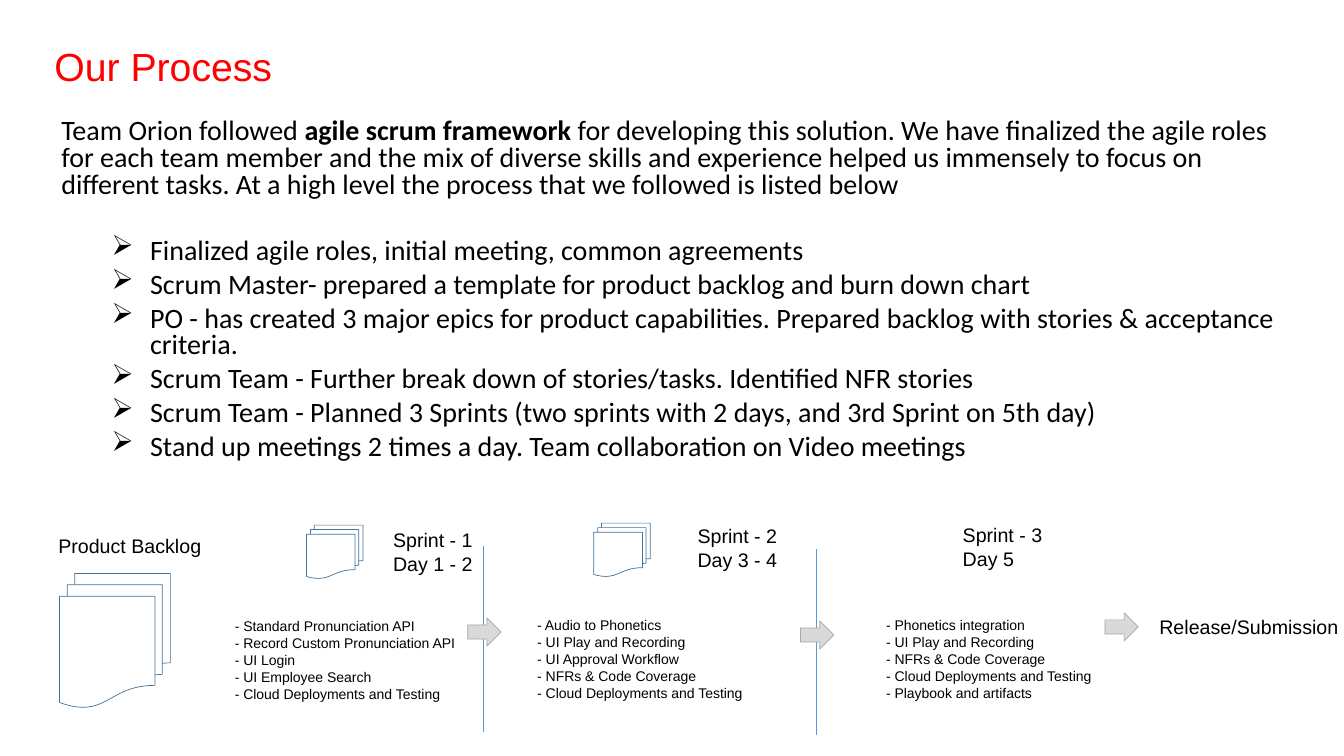
import pptx
import pptx.util
import pptx.dml.color
import pptx.enum.shapes
import pptx.enum.text
import pptx.oxml
import pptx.oxml.ns
import lxml.etree

Inches, Pt = pptx.util.Inches, pptx.util.Pt
Shape = pptx.enum.shapes.MSO_SHAPE


def tint(code):
    return pptx.dml.color.RGBColor.from_string(code)


def write(frame, lines, size, name="Arial", color="000000"):
    """Fill a frame; each line is a list of (text, bold) runs."""
    fmt = {"size": Pt(size), "name": name}
    for num, line in enumerate(lines):
        para = frame.paragraphs[0] if num == 0 else frame.add_paragraph()
        para.alignment = pptx.enum.text.PP_ALIGN.LEFT
        for text, bold in line:
            run = para.add_run()
            run.text = text
            for key, val in {**fmt, "bold": bold}.items():
                setattr(run.font, key, val)
            run.font.color.rgb = tint(color)


deck = pptx.Presentation()
deck.slide_width, deck.slide_height = Inches(13.33), Inches(7.5)
slide = deck.slides.add_slide(deck.slide_layouts[5])
shapes = slide.shapes

# Title
title = shapes.title
place = {"left": 0.44, "top": 0.36, "width": 4.1, "height": 0.58}
for key, val in place.items():
    setattr(title, key, Inches(val))
title.text_frame.vertical_anchor = pptx.enum.text.MSO_ANCHOR.MIDDLE
write(title.text_frame, [[("Our Process", False)]], 28, color="FF0000")

# Intro and bullet list
intro = [
    ("Team Orion followed ", False),
    ("agile scrum framework ", True),
    ("for developing this solution. We have finalized the agile roles for each "
     "team member and the mix of diverse skills and experience helped us "
     "immensely to focus on different tasks. At a high level the process that "
     "we followed is listed below", False),
]
steps = [
    "Finalized agile roles, initial meeting, common agreements",
    "Scrum Master- prepared a template for product backlog and burn down chart",
    "PO - has created 3 major epics for product capabilities. Prepared backlog "
    "with stories & acceptance criteria.",
    "Scrum Team - Further break down of stories/tasks. Identified NFR stories",
    "Scrum Team - Planned 3 Sprints (two sprints with 2 days, and 3rd Sprint on 5th day)",
    "Stand up meetings 2 times a day. Team collaboration on Video meetings",
]
body = shapes.add_textbox(Inches(0.51), Inches(1.13), Inches(12.48), Inches(3.81))
body.text_frame.word_wrap = True
write(body.text_frame, [intro] + [[(step, False)] for step in steps], 20, "Calibri")
# In Wingdings, Ø draws as the arrowhead mark
marks = [
    ("a:buFont", {"typeface": "Wingdings", "pitchFamily": "2", "charset": "2"}),
    ("a:buChar", {"char": "Ø"}),
]
for num, para in enumerate(body.text_frame.paragraphs):
    para.line_spacing = 0.8
    if num:
        para.space_before = Pt(28 if num == 1 else 5)
        props = para._p.get_or_add_pPr()
        props.set("marL", str(Inches(0.88)))
        props.set("indent", str(Inches(-0.38)))
        for tag, attrs in marks:
            lxml.etree.SubElement(props, pptx.oxml.ns.qn(tag), attrs)

# Sprint dividers
for x, y in [(4.8, 5.42), (8.1, 5.45)]:
    rule = shapes.add_connector(
        pptx.enum.shapes.MSO_CONNECTOR.STRAIGHT,
        Inches(x), Inches(y), Inches(x), Inches(y + 1.84))
    rule.line.color.rgb = tint("5698D3")
    rule.line.width = Pt(0.75)
    lxml.etree.SubElement(rule._element.spPr, pptx.oxml.ns.qn("a:effectLst"))

# Document stacks and arrows
stack = (Shape.FLOWCHART_MULTIDOCUMENT, "FFFFFF", "43739E")
arrow = (Shape.RIGHT_ARROW, "D9D9D9", "A6A6A6")
icons = [
    (stack, 0.59, 5.69, 1.1, 1.33),
    (stack, 3.04, 5.21, 0.56, 0.53),
    (stack, 5.89, 5.19, 0.56, 0.53),
    (arrow, 4.64, 6.13, 0.33, 0.28),
    (arrow, 7.94, 6.16, 0.33, 0.28),
    (arrow, 10.96, 6.08, 0.33, 0.28),
]
for (kind, fill, edge), *box in icons:
    icon = shapes.add_shape(kind, *map(Inches, box))
    icon.shadow.inherit = False
    icon.fill.solid()
    icon.fill.fore_color.rgb = tint(fill)
    icon.line.color.rgb = tint(edge)
    icon.line.width = Pt(0.5)

# Labels and sprint tasks
notes = [
    (0.48, 5.25, 1.63, 0.34, 14, ["Product Backlog"]),
    (11.4, 6.05, 1.99, 0.34, 14, ["Release/Submission"]),
    (3.8, 5.19, 1, 0.57, 14, ["Sprint - 1", "Day 1 - 2"]),
    (6.82, 5.15, 1, 0.57, 14, ["Sprint - 2", "Day 3 - 4"]),
    (9.45, 5.14, 1, 0.57, 14, ["Sprint - 3", "Day 5"]),
    (2.23, 6.08, 2.41, 0.94, 10, [
        "- Standard Pronunciation API", "- Record Custom Pronunciation API",
        "- UI Login", "- UI Employee Search", "- Cloud Deployments and Testing"]),
    (5.23, 6.07, 2.27, 0.94, 10, [
        "- Audio to Phonetics", "- UI Play and Recording", "- UI Approval Workflow",
        "- NFRs & Code Coverage", "- Cloud Deployments and Testing"]),
    (8.69, 6.07, 2.27, 0.94, 10, [
        "- Phonetics integration", "- UI Play and Recording", "- NFRs & Code Coverage",
        "- Cloud Deployments and Testing", "- Playbook and artifacts"]),
]
for *box, size, lines in notes:
    note = shapes.add_textbox(*map(Inches, box))
    note.text_frame.word_wrap = False
    write(note.text_frame, [[(line, False)] for line in lines], size)

deck.save("out.pptx")
